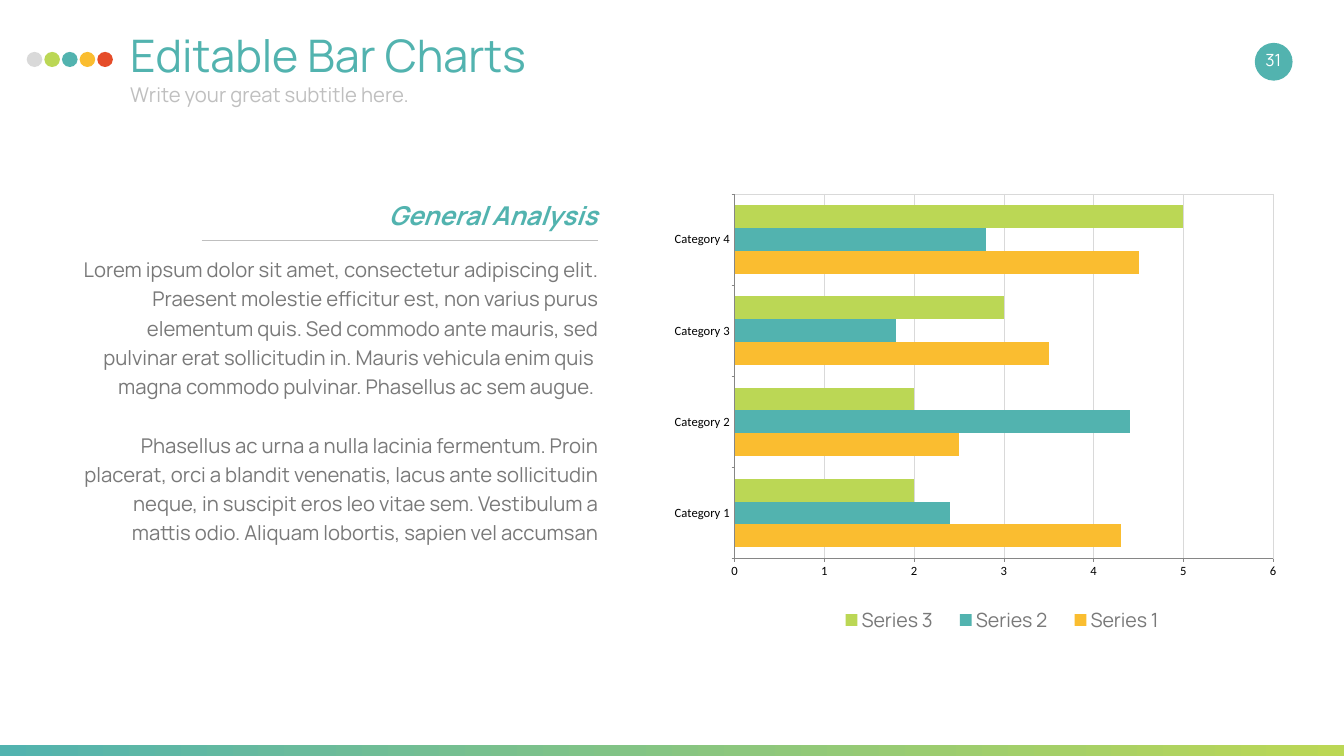
from lxml.etree import SubElement
from pptx import Presentation
from pptx.chart.data import CategoryChartData
from pptx.dml.color import RGBColor
from pptx.enum.chart import XL_CHART_TYPE, XL_LEGEND_POSITION, XL_TICK_MARK
from pptx.enum.shapes import MSO_CONNECTOR, MSO_SHAPE
from pptx.enum.text import MSO_ANCHOR, MSO_AUTO_SIZE, PP_ALIGN
from pptx.oxml import parse_xml
from pptx.oxml.ns import nsdecls, qn
from pptx.util import Inches, Pt

TEAL = RGBColor(0x52, 0xB3, 0xAF)
GREEN = RGBColor(0xBB, 0xD7, 0x55)
YELLOW = RGBColor(0xFA, 0xBD, 0x30)
RED = RGBColor(0xE5, 0x4C, 0x29)
LIGHT = RGBColor(0xD9, 0xD9, 0xD9)
SILVER = RGBColor(0xBF, 0xBF, 0xBF)
GRAY = RGBColor(0x79, 0x79, 0x79)
AXIS = RGBColor(0x86, 0x86, 0x86)
BLACK = RGBColor(0, 0, 0)
WHITE = RGBColor(0xFF, 0xFF, 0xFF)
FONT = "Manrope"

TITLE = "Editable Bar Charts"
SUBTITLE = "Write your great subtitle here."
PAGE = "31"
HEADING = "General Analysis"
# (text, space before in points)
BODY = [
    ("Lorem ipsum dolor sit amet, consectetur adipiscing elit. Praesent molestie "
     "efficitur est, non varius purus elementum quis. Sed commodo ante mauris, sed "
     "pulvinar erat sollicitudin in. Mauris vehicula enim quis ", 0),
    ("magna commodo pulvinar. Phasellus ac sem augue. ", 0),
    ("Phasellus ac urna a nulla lacinia fermentum. Proin placerat, orci a blandit "
     "venenatis, lacus ante sollicitudin neque, in suscipit eros leo vitae sem. "
     "Vestibulum a mattis odio. Aliquam lobortis, sapien vel accumsan", 42),
]
DOTS = [LIGHT, GREEN, TEAL, YELLOW, RED]
CATEGORIES = ["Category 1", "Category 2", "Category 3", "Category 4"]
SERIES = [
    ("Series 1", (4.3, 2.5, 3.5, 4.5), YELLOW),
    ("Series 2", (2.4, 4.4, 1.8, 2.8), TEAL),
    ("Series 3", (2, 2, 3, 5), GREEN),
]


def box(*values):
    return [Inches(v) for v in values]


def add_plain(slide, kind, at, color=None):
    sp = slide.shapes.add_shape(kind, *box(*at))
    sp.shadow.inherit = False
    sp.line.fill.background()
    if color is not None:
        sp.fill.solid()
        sp.fill.fore_color.rgb = color
    return sp


def set_text(sp, paragraphs, size, color, align=PP_ALIGN.LEFT, anchor=MSO_ANCHOR.TOP,
             spacing=None, bold=False, italic=False):
    """Fill a shape with (text, space before) paragraphs in one format."""
    tf = sp.text_frame
    tf.word_wrap = True
    tf.auto_size = MSO_AUTO_SIZE.NONE
    tf.vertical_anchor = anchor
    tf.margin_left = tf.margin_right = Inches(0.27)
    tf.margin_top = tf.margin_bottom = Inches(0.13)
    for i, (text, before) in enumerate(paragraphs):
        p = tf.add_paragraph() if i else tf.paragraphs[0]
        p.alignment = align
        p.line_spacing = spacing
        p.space_before = Pt(before)
        r = p.add_run()
        r.text = text
        set_font(r.font, size, color)
        r.font.bold, r.font.italic = bold, italic


def set_font(font, size, color, name=FONT):
    font.name, font.size = name, Pt(size)
    font.color.rgb = color


def add_text(slide, at, paragraphs, size, color, **fmt):
    sp = slide.shapes.add_textbox(*box(*at))
    set_text(sp, paragraphs, size, color, **fmt)


def set_layout(parent, index, inner, **place):
    """Give a plot area or legend a manual place, in fractions of the chart."""
    for old in parent.findall(qn("c:layout")):
        parent.remove(old)
    layout = parse_xml(f"<c:layout {nsdecls('c')}><c:manualLayout/></c:layout>")
    manual = layout[0]
    if inner:
        SubElement(manual, qn("c:layoutTarget")).set("val", "inner")
    for tag in ("xMode", "yMode"):
        SubElement(manual, qn(f"c:{tag}")).set("val", "edge")
    for tag, value in place.items():
        SubElement(manual, qn(f"c:{tag}")).set("val", str(value))
    parent.insert(index, layout)


def add_bar_chart(slide, at):
    data = CategoryChartData()
    data.categories = CATEGORIES
    for name, values, _ in SERIES:
        data.add_series(name, values)
    chart = slide.shapes.add_chart(XL_CHART_TYPE.BAR_CLUSTERED, *box(*at), data).chart
    chart.has_title = False
    set_font(chart.font, 18, BLACK, "Calibri")

    plot = chart.plots[0]
    plot.gap_width, plot.overlap = 100, 0
    plot.vary_by_categories = False
    for series, (_, _, color) in zip(plot.series, SERIES):
        series.format.fill.solid()
        series.format.fill.fore_color.rgb = color

    for axis in (chart.category_axis, chart.value_axis):
        axis.major_tick_mark = XL_TICK_MARK.OUTSIDE
        axis.minor_tick_mark = XL_TICK_MARK.NONE
        axis.format.line.color.rgb = AXIS
        axis.format.line.width = Pt(0.75)
    axis = chart.value_axis
    axis.minimum_scale, axis.maximum_scale, axis.major_unit = 0, 6, 1
    axis.has_major_gridlines = True
    axis.major_gridlines.format.line.color.rgb = LIGHT
    axis.major_gridlines.format.line.width = Pt(0.75)

    chart.has_legend = True
    legend = chart.legend
    legend.position = XL_LEGEND_POSITION.BOTTOM
    legend.include_in_layout = False
    set_font(legend.font, 28, GRAY)

    area = chart.element.find(".//" + qn("c:plotArea"))
    set_layout(area, 0, True, x=0.115, y=0.019, w=0.866, h=0.78)
    area.append(parse_xml(
        f'<c:spPr {nsdecls("c", "a")}><a:noFill/><a:ln w="9525"><a:solidFill>'
        f'<a:srgbClr val="{LIGHT}"/></a:solidFill></a:ln></c:spPr>'))
    set_layout(chart.element.find(".//" + qn("c:legend")), 1, False,
               x=0.26, y=0.89, w=0.57, h=0.08)


def main():
    prs = Presentation()
    prs.slide_width, prs.slide_height = box(26.67, 15)
    slide = prs.slides.add_slide(prs.slide_layouts[5])

    bar = add_plain(slide, MSO_SHAPE.RECTANGLE, (0, 14.79, 26.67, 0.38))
    bar.fill.gradient()
    bar.fill.gradient_angle = 0
    for stop, color, position in zip(bar.fill.gradient_stops, (TEAL, GREEN), (0, 1)):
        stop.color.rgb, stop.position = color, position

    add_plain(slide, MSO_SHAPE.OVAL, (24.9, 0.85, 0.75, 0.75), TEAL)
    for i, color in enumerate(DOTS):
        add_plain(slide, MSO_SHAPE.OVAL, (0.53 + 0.35 * i, 1.03, 0.31, 0.3), color)

    title = slide.shapes.title
    title.left, title.top, title.width, title.height = box(2.31, 0.41, 21.25, 1.6)
    set_text(title, [(TITLE, 0)], 64, TEAL)
    add_text(slide, (2.31, 1.5, 21.25, 0.85), [(SUBTITLE, 0)], 29, SILVER)
    add_text(slide, (24.68, 0.78, 1.17, 0.8), [(PAGE, 0)], 24, WHITE,
             align=PP_ALIGN.CENTER, anchor=MSO_ANCHOR.MIDDLE)

    add_bar_chart(slide, (13.16, 3.67, 12.34, 9.28))

    add_text(slide, (1.24, 4.88, 10.91, 6.7), BODY, 29, GRAY,
             align=PP_ALIGN.RIGHT, spacing=1.2)
    add_text(slide, (1.3, 3.7, 10.82, 1), [(HEADING, 0)], 37, TEAL,
             align=PP_ALIGN.RIGHT, spacing=1.2, bold=True, italic=True)
    rule = slide.shapes.add_connector(MSO_CONNECTOR.STRAIGHT, *box(4, 4.76, 11.86, 4.76))
    rule.line.color.rgb = SILVER
    rule.line.width = Pt(0.25)
    SubElement(rule.element.spPr, qn("a:effectLst"))

    prs.save("out.pptx")


if __name__ == "__main__":
    main()
